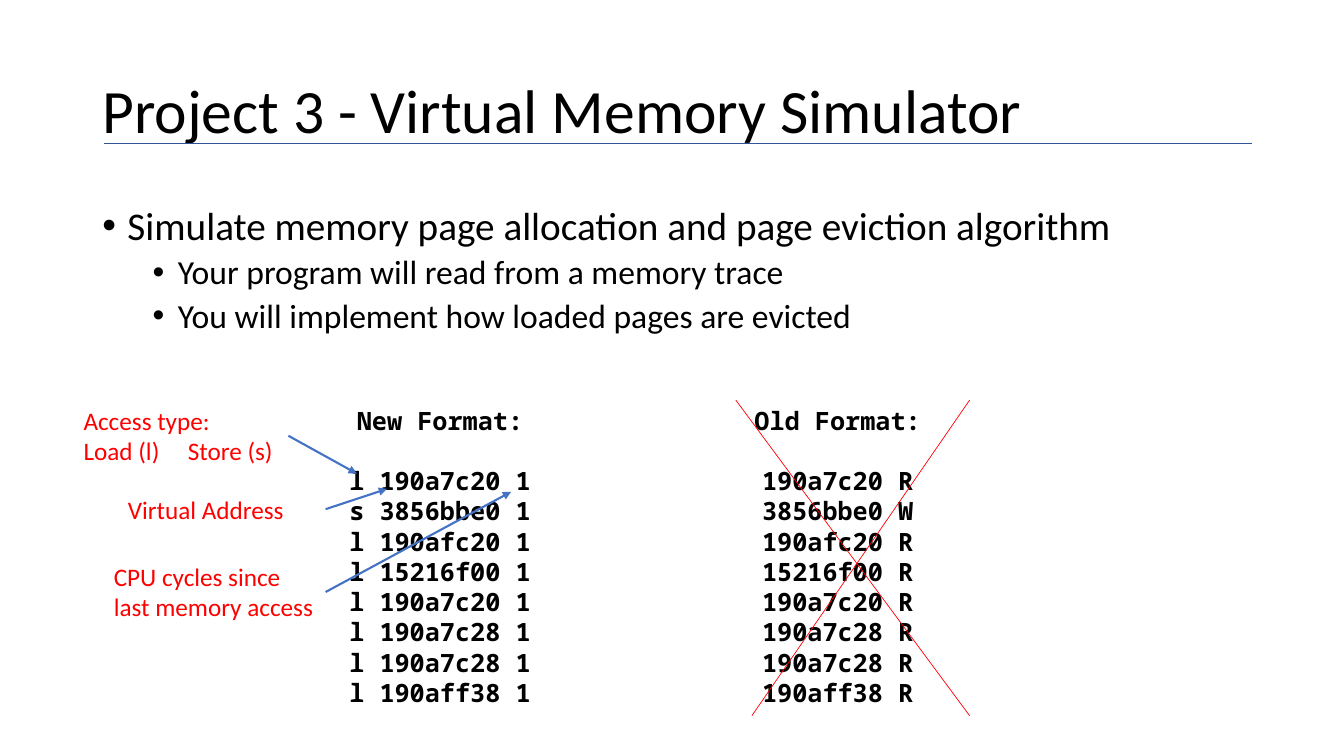
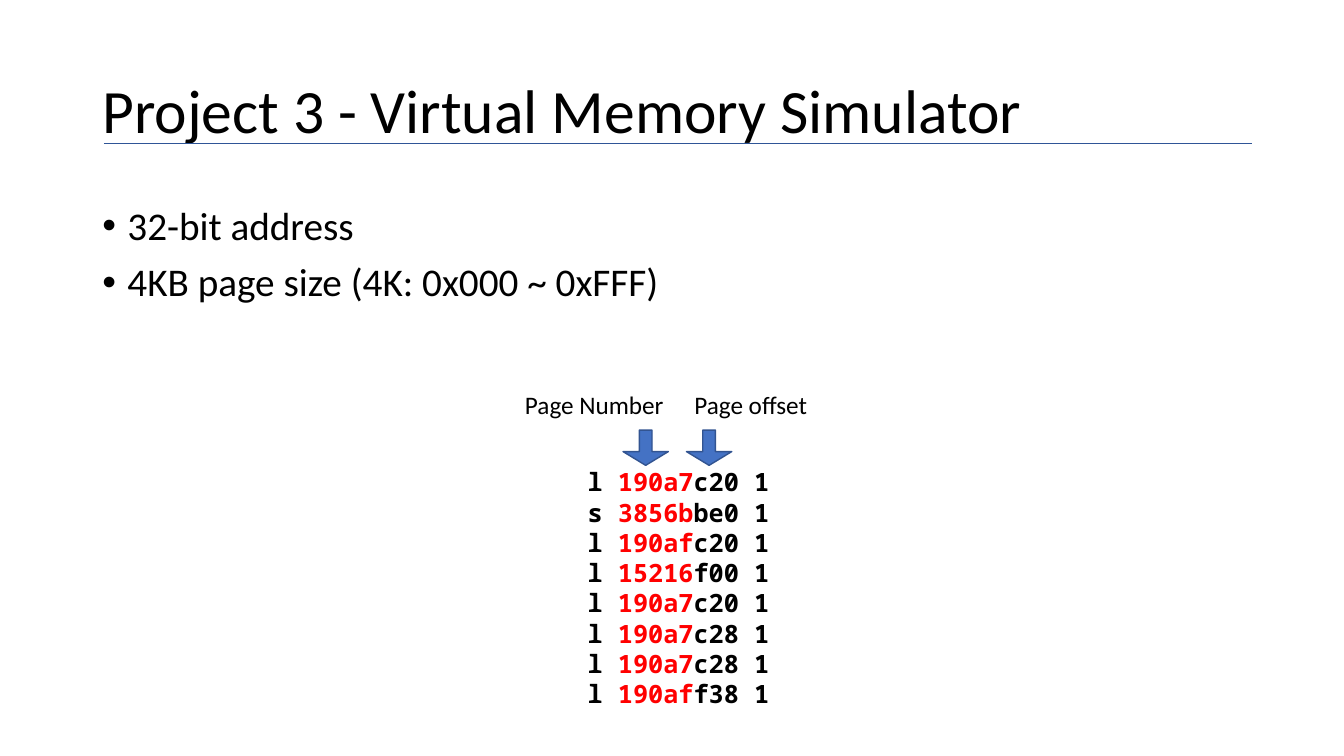
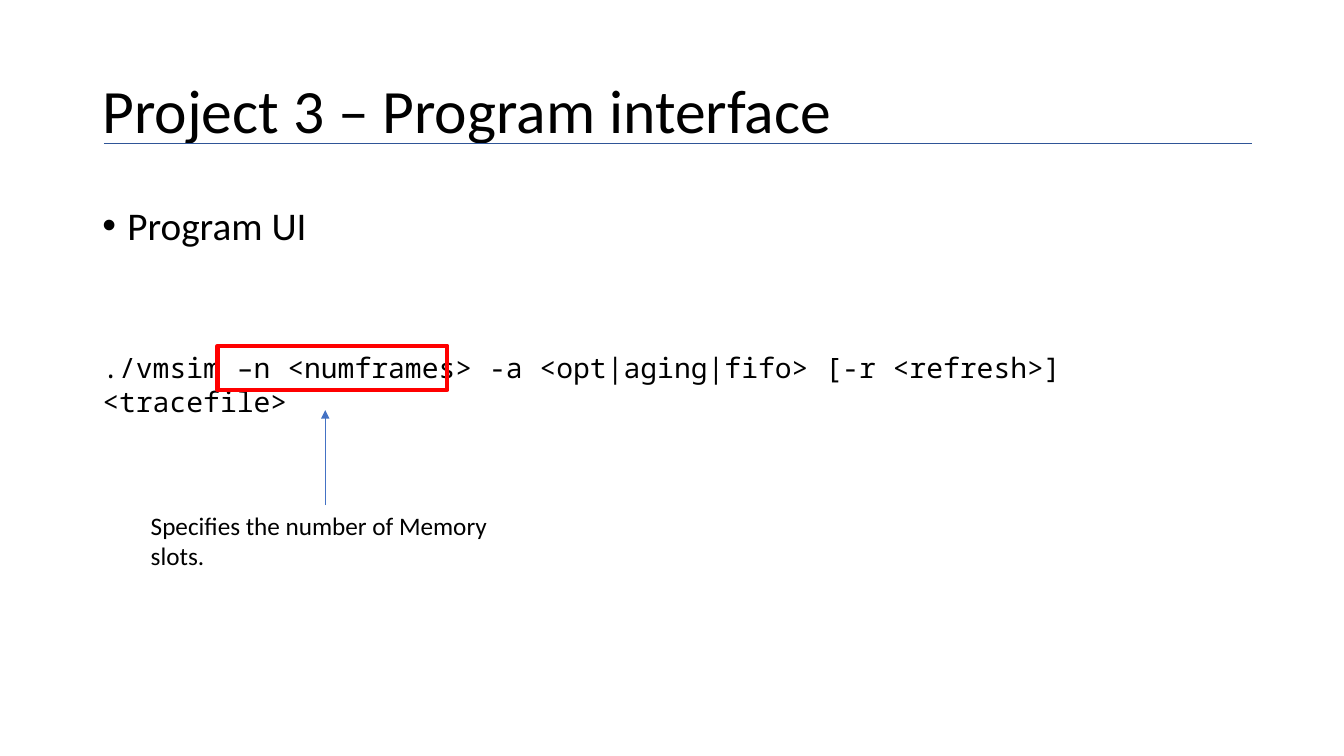
from dataclasses import dataclass

from lxml import etree
from pptx import Presentation
from pptx.dml.color import RGBColor
from pptx.enum.shapes import MSO_CONNECTOR, MSO_SHAPE
from pptx.enum.text import MSO_ANCHOR, MSO_AUTO_SIZE, PP_ALIGN
from pptx.oxml.ns import qn
from pptx.util import Pt

LEFT, CENTER = PP_ALIGN.LEFT, PP_ALIGN.CENTER
MIDDLE = MSO_ANCHOR.MIDDLE
NO_FIT = MSO_AUTO_SIZE.NONE
STRAIGHT = MSO_CONNECTOR.STRAIGHT
RECT, DOWN_ARROW = MSO_SHAPE.RECTANGLE, MSO_SHAPE.DOWN_ARROW
TOP_SIDE, RIGHT_SIDE = 0, 3
TITLE_ONLY = 5


@dataclass(frozen=True)
class Theme:
    ink: str = "000000"
    red: str = "FF0000"
    blue: str = "4472C4"
    outline: str = "325491"
    rule: str = "2F5597"
    sans: str = "Calibri"
    mono: str = "Noto Sans Mono"
    title: int = 44
    bullets: tuple = (28, 24)
    command: int = 20
    label: int = 18
    line: float = 21.6


T = Theme()
TITLE_BOX = (66, 28.8, 828, 104.4)
BODY_BOX = (66, 144, 828, 126)
TRACE = [
    ("l", "190a7c20"),
    ("s", "3856bbe0"),
    ("l", "190afc20"),
    ("l", "15216f00"),
    ("l", "190a7c20"),
    ("l", "190a7c28"),
    ("l", "190a7c28"),
    ("l", "190aff38"),
]


def rgb(value):
    return RGBColor.from_string(value)


def next_paragraph(tf):
    p = tf.paragraphs[0]
    return tf.add_paragraph() if p.runs else p


def write(p, text, size=T.label, font=T.sans, color=T.ink, bold=False,
          align=LEFT, spacing=1.0, before=0, after=0):
    p.alignment = align
    p.line_spacing = spacing
    p.space_before, p.space_after = Pt(before), Pt(after)
    r = p.add_run()
    r.text = text
    r.font.size, r.font.name, r.font.bold = Pt(size), font, bold
    r.font.color.rgb = rgb(color)
    return p


def text_box(s, box, lines=(), wrap=True, **style):
    sp = s.shapes.add_textbox(*map(Pt, box))
    tf = sp.text_frame
    tf.word_wrap = wrap
    tf.auto_size = NO_FIT
    for text in lines:
        write(next_paragraph(tf), text, **style)
    return sp


def add_bullet(p, level):
    p.level = level
    pPr = p._p.get_or_add_pPr()
    pPr.set("marL", str(Pt(18 + 36 * level)))
    pPr.set("indent", str(-Pt(18)))
    etree.SubElement(pPr, qn("a:buFont")).set("typeface", "Arial")
    etree.SubElement(pPr, qn("a:buChar")).set("char", "•")


def add_tab(p, position):
    tabs = etree.SubElement(p._p.get_or_add_pPr(), qn("a:tabLst"))
    etree.SubElement(tabs, qn("a:tab"), pos=str(Pt(position)), algn="l")


def connect(s, start, end, color, width, arrow=False):
    c = s.shapes.add_connector(STRAIGHT, *map(Pt, (*start, *end)))
    c.line.color.rgb = rgb(color)
    c.line.width = Pt(width)
    if arrow:
        etree.SubElement(c.line._get_or_add_ln(), qn("a:tailEnd"), type="triangle")
    etree.SubElement(c._element.spPr, qn("a:effectLst"))
    return c


def point_from(s, label, side, end, width):
    c = connect(s, end, end, T.blue, width, arrow=True)
    c.begin_connect(label, side)


def add_shape(s, kind, box, line, width, fill=None):
    sp = s.shapes.add_shape(kind, *map(Pt, box))
    sp.shadow.inherit = False
    if fill:
        sp.fill.solid()
        sp.fill.fore_color.rgb = rgb(fill)
    else:
        sp.fill.background()
    sp.line.color.rgb = rgb(line)
    sp.line.width = Pt(width)
    return sp


def title_region(s, box, text):
    x, y, w, h = box
    sp = s.shapes.title
    sp.left, sp.top, sp.width, sp.height = map(Pt, box)
    tf = sp.text_frame
    tf.auto_size = NO_FIT
    tf.word_wrap = True
    tf.vertical_anchor = MIDDLE
    write(tf.paragraphs[0], text, size=T.title, spacing=0.9)
    rule_y = y + 73.4
    connect(s, (x + 8.2, rule_y), (x + w + 0.2, rule_y), T.rule, 0.5)


def body_region(s, box, items):
    tf = text_box(s, box).text_frame
    for level, text in items:
        p = write(next_paragraph(tf), text, size=T.bullets[level],
                  spacing=0.9, before=(10, 5)[level])
        add_bullet(p, level)


def format_region(s, box, heading, rows):
    style = dict(font=T.mono, bold=True, align=CENTER)
    tf = text_box(s, box).text_frame
    write(tf.paragraphs[0], heading, after=T.line, **style)
    for row in rows:
        write(next_paragraph(tf), row, **style)


def cross_out(s, box):
    x, y, w, h = box
    connect(s, (x, y), (x + w, y + h), T.red, 0.5)
    connect(s, (x + w, y), (x + 11.5, y + h), T.red, 0.5)


def callout_region(s, box):
    x, y, w, h = box
    access = text_box(s, (x, y, 153.4, 51), ["Access type:", "Load (l)\tStore (s)"],
                      color=T.red)
    add_tab(access.text_frame.paragraphs[1], 74.5)
    address = text_box(s, (x + w - 148.3, y + 63.4, 148.3, 29), ["Virtual Address"],
                       color=T.red)
    cycles = text_box(s, (x + w - 158.4, y + 111.6, 158.4, 51),
                      ["CPU cycles since", "last memory access"],
                      wrap=False, color=T.red)
    targets = ((access, 202.3, 52.5), (address, 223.9, 63.4), (cycles, 312.5, 65.5))
    for label, dx, dy in targets:
        point_from(s, label, RIGHT_SIDE, (x + dx, y + dy), 1.5)


def address_region(s, box):
    x, y, w, h = box
    style = dict(font=T.mono, bold=True, align=CENTER)
    tf = text_box(s, (x, y + 55, w, h - 55)).text_frame
    for op, address in TRACE:
        p = next_paragraph(tf)
        write(p, f"{op} ", **style)
        write(p, address[:5], color=T.red, **style)
        write(p, f"{address[5:]} 1", **style)
    parts = (("Page Number", 30.2, 107.3), ("Page offset", 151.2, 152.6))
    for text, label_dx, arrow_dx in parts:
        text_box(s, (x + label_dx, y, 154.8, 29), [text])
        sp = add_shape(s, DOWN_ARROW, (x + arrow_dx, y + 32.4, 32.4, 25.2),
                       T.outline, 1, T.blue)
        sp.adjustments[0], sp.adjustments[1] = 0.28, 0.39


def command_region(s, box):
    x, y, w, h = box
    text_box(s, box,
             ["./vmsim –n <numframes> -a <opt|aging|fifo> [-r <refresh>] <tracefile>"],
             size=T.command, font=T.mono)
    label = text_box(s, (x + 34.6, y + 113.8, 263.5, 51),
                     ["Specifies the number of Memory slots."])
    point_from(s, label, TOP_SIDE, (x + 166.35, y + 46), 0.5)
    add_shape(s, RECT, (x + 89.3, y, 164.2, h), T.red, 3)


def add_slide(prs, title, items):
    s = prs.slides.add_slide(prs.slide_layouts[TITLE_ONLY])
    title_region(s, TITLE_BOX, title)
    body_region(s, BODY_BOX, items)
    return s


def main():
    prs = Presentation()
    prs.slide_width, prs.slide_height = Pt(960), Pt(540)
    simulator = "Project 3 - Virtual Memory Simulator"

    s = add_slide(prs, simulator, [
        (0, "Simulate memory page allocation and page eviction algorithm"),
        (1, "Your program will read from a memory trace"),
        (1, "You will implement how loaded pages are evicted"),
    ])
    modes = {"l": "R", "s": "W"}
    format_region(s, (451.4, 285.8, 293.8, 225.4), "Old Format:",
                  [f"{address} {modes[op]}" for op, address in TRACE])
    format_region(s, (74.2, 285.8, 480.2, 225.4), "New Format:",
                  [f"{op} {address} 1" for op, address in TRACE])
    callout_region(s, (52.6, 285.8, 180, 163))
    cross_out(s, (525.6, 285.8, 167, 225.4))

    s = add_slide(prs, simulator, [
        (0, "32-bit address"),
        (0, "4KB page size (4K: 0x000 ~ 0xFFF)"),
    ])
    address_region(s, (337.7, 274.8, 293.8, 236.4))

    s = add_slide(prs, "Project 3 – Program interface", [(0, "Program UI")])
    command_region(s, (66, 247, 819.4, 31.7))

    prs.save("out.pptx")


if __name__ == "__main__":
    main()
